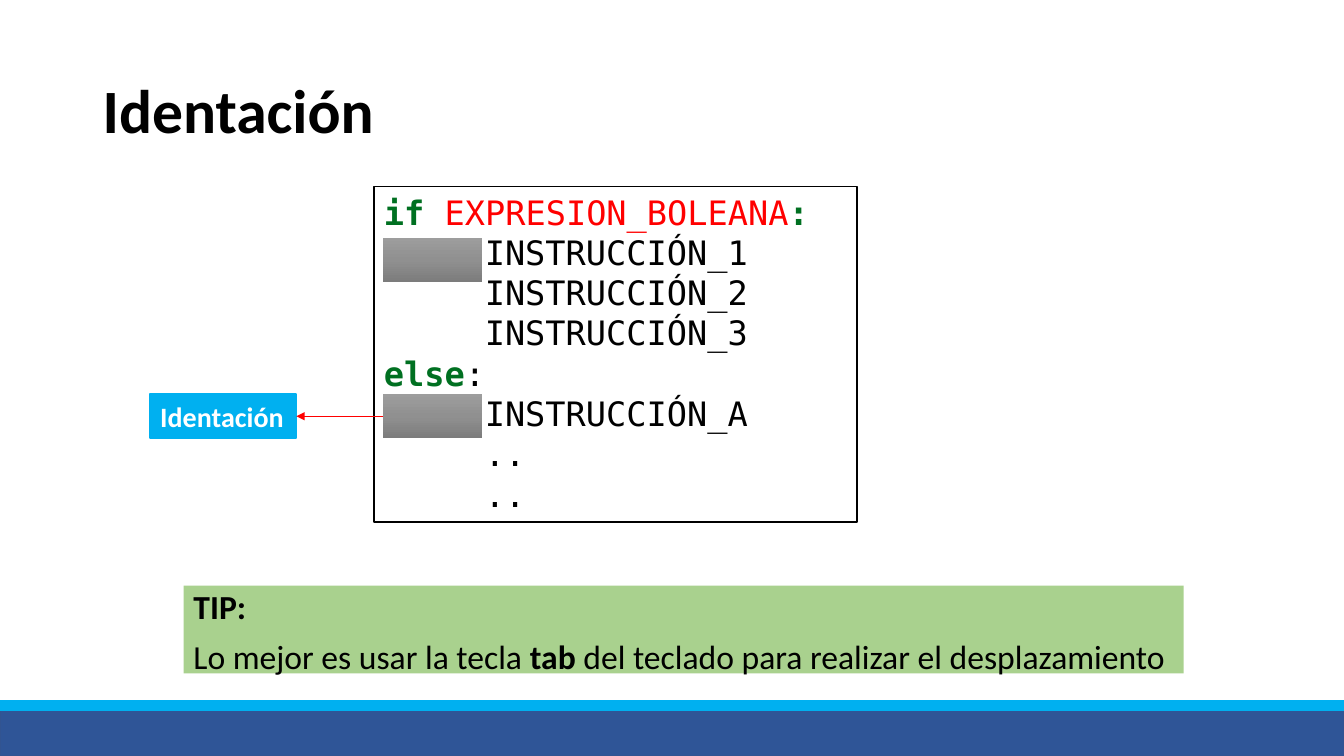
from copy import deepcopy

from lxml.etree import SubElement
from pptx import Presentation
from pptx.dml.color import RGBColor
from pptx.enum.shapes import MSO_CONNECTOR, MSO_SHAPE
from pptx.enum.text import MSO_ANCHOR, PP_ALIGN
from pptx.oxml.ns import qn
from pptx.util import Inches, Pt

BLACK = RGBColor(0x00, 0x00, 0x00)
WHITE = RGBColor(0xFF, 0xFF, 0xFF)
RED = RGBColor(0xFF, 0x00, 0x00)
KEYWORD = RGBColor(0x00, 0x70, 0x21)
SKY = RGBColor(0x00, 0xB0, 0xF0)
NAVY = RGBColor(0x2F, 0x55, 0x97)
NAVY_EDGE = RGBColor(0x32, 0x54, 0x91)
GREEN = RGBColor(0xA9, 0xD1, 0x8E)
GREYS = [RGBColor(0x9D, 0x9D, 0x9D), RGBColor(0x90, 0x90, 0x90), RGBColor(0x7C, 0x7C, 0x7C)]

SANS, MONO = "Calibri", "DejaVu Sans Mono"
INDENT = Inches(1)

# Each paragraph holds lines; each line holds (text, colour, bold) pieces.
CODE = [
    [[("if ", KEYWORD, True), ("EXPRESION_BOLEANA", RED, False), (":", KEYWORD, True)],
     [("\tINSTRUCCIÓN_1", BLACK, False)]],
    [[("\tINSTRUCCIÓN_2", BLACK, False)]],
    [[("\tINSTRUCCIÓN_3", BLACK, False)]],
    [[("else", KEYWORD, True), (":", BLACK, False)],
     [("\tINSTRUCCIÓN_A", BLACK, False)]],
    [[("\t..", BLACK, False)]],
    [[("\t..", BLACK, False)]],
]
TIP = [
    [[("TIP:", BLACK, True)]],
    [[("Lo mejor es usar la tecla ", BLACK, False), ("tab", BLACK, True),
      (" del teclado para realizar el desplazamiento", BLACK, False)]],
]


def add_rect(s, box, fill=None, line=None, width=1):
    sp = s.shapes.add_shape(MSO_SHAPE.RECTANGLE, *(Inches(v) for v in box))
    sp.shadow.inherit = False
    if fill is not None:
        sp.fill.solid()
        sp.fill.fore_color.rgb = fill
    if line is None:
        sp.line.fill.background()
    else:
        sp.line.color.rgb = line
        sp.line.width = Pt(width)
    return sp


def write(tf, paragraphs, font, size, spacing=1.0, gap=0, anchor=MSO_ANCHOR.TOP, tab=None):
    """Fill a text frame with paragraphs of lines of styled pieces."""
    tf.word_wrap = True
    tf.vertical_anchor = anchor
    for i, lines in enumerate(paragraphs):
        p = tf.add_paragraph() if i else tf.paragraphs[0]
        if tab:
            tabs = SubElement(p._p.get_or_add_pPr(), qn("a:tabLst"))
            SubElement(tabs, qn("a:tab"), pos=str(tab), algn="l")
        p.alignment = PP_ALIGN.LEFT
        p.line_spacing = spacing
        if i:
            p.space_before = Pt(gap)
        for j, pieces in enumerate(lines):
            if j:
                p.add_line_break()
            for text, color, bold in pieces:
                r = p.add_run()
                r.text = text
                r.font.name, r.font.size = font, Pt(size)
                r.font.bold, r.font.color.rgb = bold, color


def add_footer(s, box):
    x, y, w, h = box
    add_rect(s, (x, y + 0.08, w, h - 0.08), NAVY, NAVY_EDGE)
    add_rect(s, (x, y, w, 0.1), SKY, SKY)


def add_title(s, box):
    tb = s.shapes.add_textbox(*(Inches(v) for v in box))
    write(tb.text_frame, [[[("Identación", BLACK, True)]]], SANS, 44, 0.9,
          anchor=MSO_ANCHOR.MIDDLE)


def add_tip(s, box):
    write(add_rect(s, box, GREEN).text_frame, TIP, SANS, 24, 0.9, 10)


def add_indent_block(s, box):
    sp = add_rect(s, box)
    sp.fill.gradient()
    sp.fill.gradient_angle = 270
    first = sp._element.spPr.find(".//" + qn("a:gs"))
    first.addnext(deepcopy(first))
    for stop, color, position in zip(sp.fill.gradient_stops, GREYS, (0, 0.5, 1)):
        stop.color.rgb = color
        stop.position = position
    return sp


def add_code(s, box):
    """Draw the code panel and return its indent blocks."""
    x, y, w, h = box
    write(add_rect(s, box, WHITE, BLACK).text_frame, CODE, MONO, 24, tab=INDENT)
    return [add_indent_block(s, (x + 0.09, y + dy, 0.98, 0.44)) for dy in (0.51, 2.06)]


def add_label(s, box, block):
    """Draw the label and the arrow that reaches it from an indent block."""
    label = add_rect(s, box, SKY, SKY, 1.5)
    write(label.text_frame, [[[("Identación", WHITE, True)]]], SANS, 20)
    label.text_frame.word_wrap = False
    arrow = s.shapes.add_connector(MSO_CONNECTOR.STRAIGHT, 0, 0, 0, 0)
    arrow.begin_connect(block, 1)
    arrow.end_connect(label, 3)
    arrow.line.color.rgb = RED
    arrow.line.width = Pt(0.5)
    spPr = arrow._element.spPr
    SubElement(spPr.find(qn("a:ln")), qn("a:tailEnd"), type="triangle")
    SubElement(spPr, qn("a:effectLst"))


def main():
    prs = Presentation()
    prs.slide_width, prs.slide_height = Inches(13.33), Inches(7.5)
    s = prs.slides.add_slide(prs.slide_layouts[6])
    add_footer(s, (0, 6.95, 13.33, 0.55))
    add_title(s, (0.92, 0.4, 11.5, 1.45))
    add_tip(s, (1.82, 5.81, 9.92, 0.87))
    blocks = add_code(s, (3.71, 1.85, 4.79, 3.33))
    add_label(s, (1.49, 3.91, 1.45, 0.44), blocks[1])
    prs.save("out.pptx")


if __name__ == "__main__":
    main()
